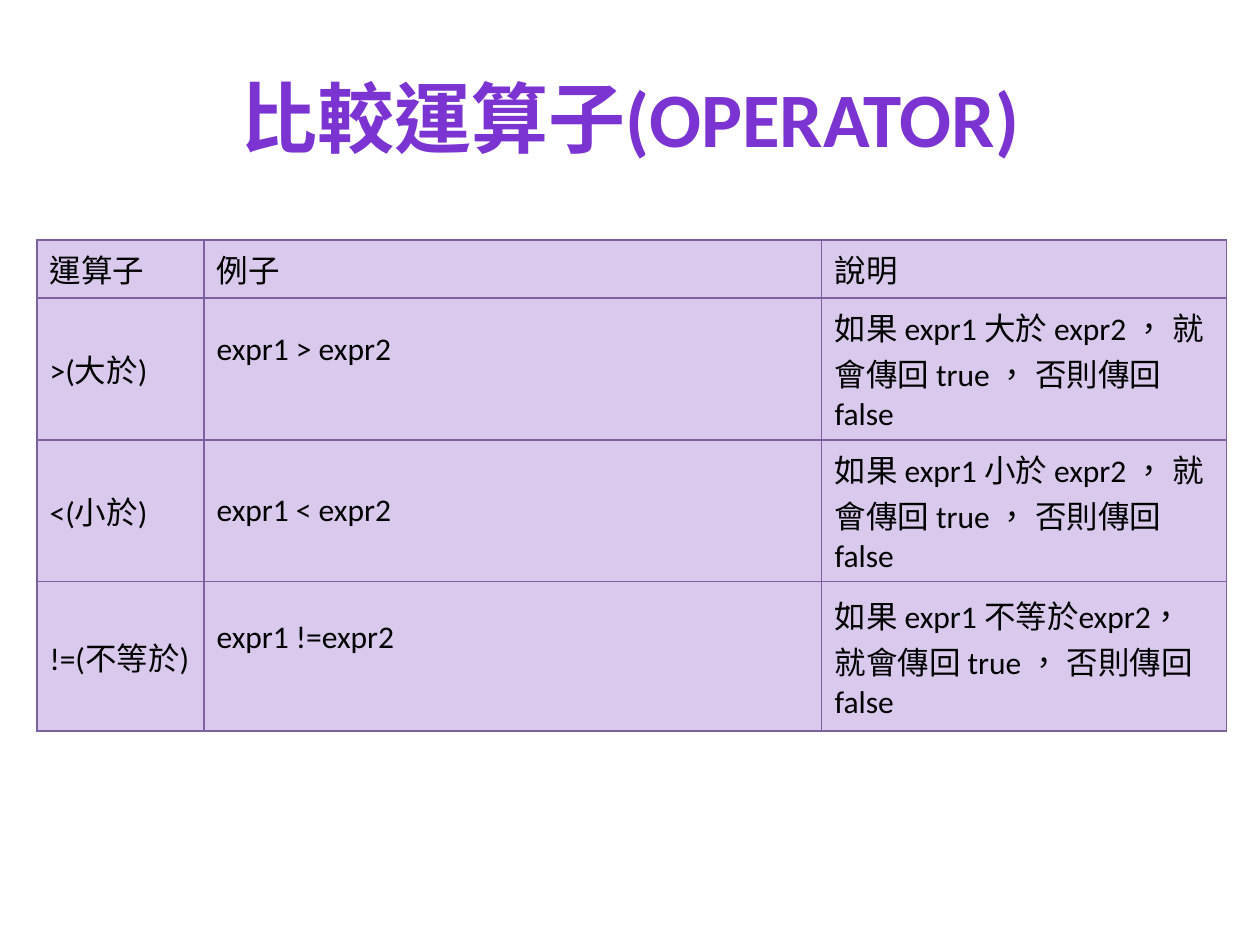
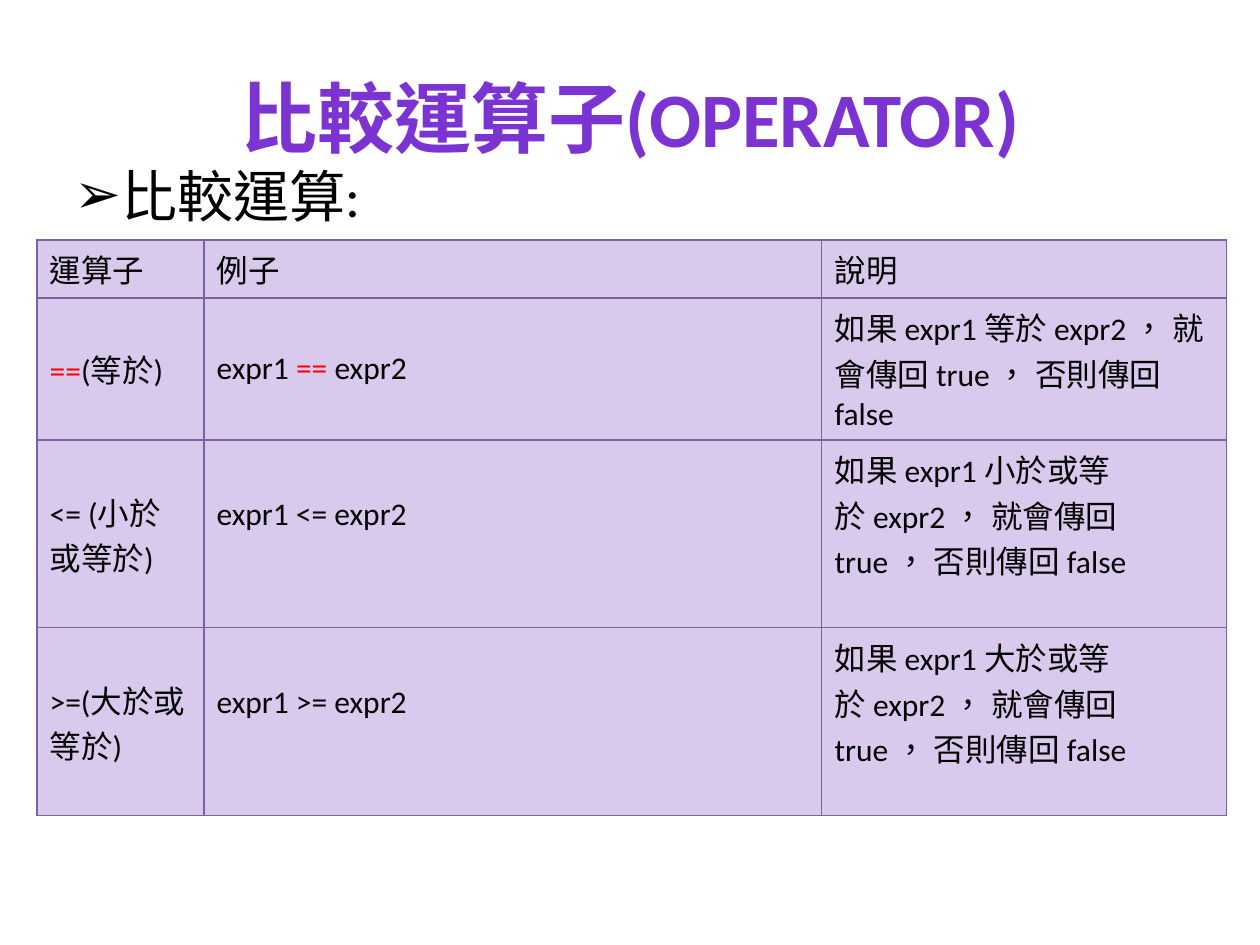
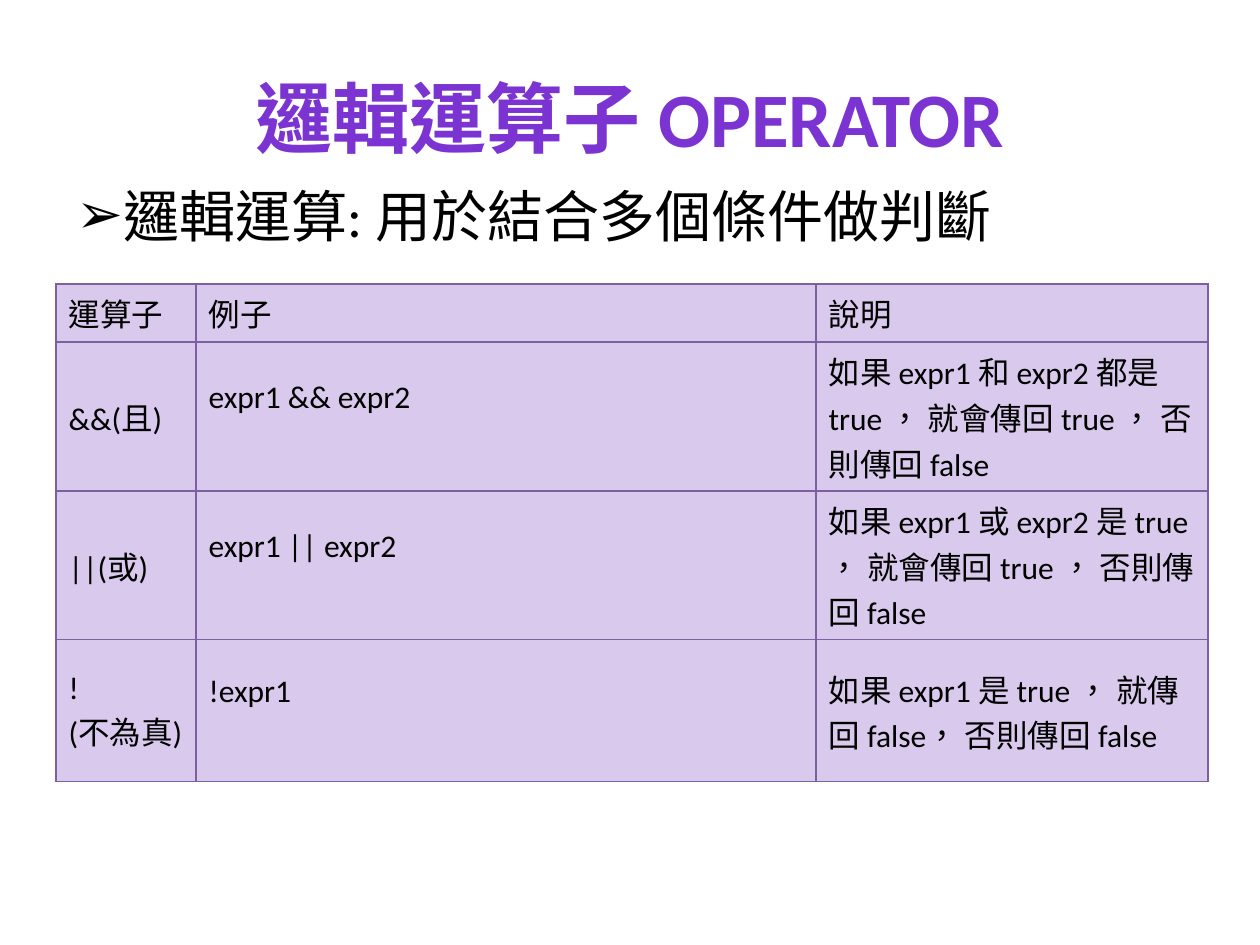
from dataclasses import dataclass

from lxml import etree
from pptx import Presentation
from pptx.dml.color import RGBColor
from pptx.enum.text import MSO_ANCHOR, PP_ALIGN
from pptx.oxml.ns import qn
from pptx.util import Emu, Pt

PX = 914400 // 126
MIDDLE, CENTER = MSO_ANCHOR.MIDDLE, PP_ALIGN.CENTER
TITLE_ONLY = 5
NBSP = "\u00a0"  # written as ~ in the content below


@dataclass(frozen=True)
class Theme:
    font: str = "Calibri"
    title_pt: int = 44
    body_pt: int = 32
    cell_pt: int = 18
    text: str = "000000"
    accent: str = "FF0000"
    cell: str = "D9CAED"
    border: str = "7D60A0"
    border_pt: float = 0.75
    title_outline: str = "5E457C"
    title_outline_pt: float = 0.71
    title_stops: tuple = ((0, "3D1B67"), (43, "7B34D2"),
                          (48, "7330C4"), (100, "3D1B67"))


THEME = Theme()
HEADER = ("運算子", "例子", "說明")
COMPARE_COLS = (167, 618, 405)
LOGIC_COLS = (140, 620, 392)
HEAD_ROW, LOW_ROW, MID_ROW, TALL_ROW = 58, 142, 149, 188
LINE = 38       # room below a raised single line
TALL_LINE = 46  # room below a raised Chinese text


def px(n):
    return Emu(n * PX)


def add_xml(parent, tag, **attrs):
    return etree.SubElement(parent, qn(tag), attrs)


def add_solid(parent, color):
    add_xml(add_xml(parent, "a:solidFill"), "a:srgbClr", val=color)


def add_run(p, text, size, color=None, bold=False):
    r = p.add_run()
    r.text = text.replace("~", NBSP)
    for name, value in {"name": THEME.font, "size": Pt(size), "bold": bold}.items():
        setattr(r.font, name, value)
    if color:
        r.font.color.rgb = RGBColor.from_string(color)
    r._r.get_or_add_rPr().set("lang", "zh-TW")
    return r


def style_title_run(r):
    """Outline and vertical gradient, placed ahead of the font element."""
    rPr = r._r.get_or_add_rPr()
    ln = add_xml(rPr, "a:ln", w=str(Pt(THEME.title_outline_pt)))
    add_solid(ln, THEME.title_outline)
    grad = add_xml(rPr, "a:gradFill")
    stops = add_xml(grad, "a:gsLst")
    for pos, color in THEME.title_stops:
        gs = add_xml(stops, "a:gs", pos=str(pos * 1000))
        add_xml(gs, "a:srgbClr", val=color)
    add_xml(grad, "a:lin", ang="5400000", scaled="0")
    rPr.insert(0, ln)
    rPr.insert(1, grad)


def add_titled_slide(prs, title):
    s = prs.slides.add_slide(prs.slide_layouts[TITLE_ONLY])
    sp = s.shapes.title
    sp.left, sp.top, sp.width, sp.height = map(px, (63, 38, 1134, 157))
    tf = sp.text_frame
    tf.vertical_anchor = MIDDLE
    p = tf.paragraphs[0]
    p.alignment = CENTER
    style_title_run(add_run(p, title, THEME.title_pt, bold=True))
    return s


def add_bullet(s, text, left, top):
    sp = s.shapes.add_textbox(px(left), px(top), px(1134), px(694))
    tf = sp.text_frame
    tf.word_wrap = True
    p = tf.paragraphs[0]
    p.space_before = Pt(THEME.body_pt * 0.2)
    pPr = p._p.get_or_add_pPr()
    pPr.set("marL", str(px(47)))
    pPr.set("indent", str(px(-47)))
    add_xml(pPr, "a:buFont", typeface=THEME.font)
    add_xml(pPr, "a:buChar", char="\u27a2")
    add_run(p, text, THEME.body_pt, THEME.text)


def add_borders(cell):
    tcPr = cell._tc.get_or_add_tcPr()
    for side in ("a:lnL", "a:lnR", "a:lnT", "a:lnB"):
        add_solid(add_xml(tcPr, side, w=str(Pt(THEME.border_pt))), THEME.border)


def fill_cell(cell, text, raise_by):
    cell.vertical_anchor = MIDDLE
    cell.margin_bottom = px(6 + raise_by)
    add_borders(cell)
    cell.fill.solid()
    cell.fill.fore_color.rgb = RGBColor.from_string(THEME.cell)
    tf = cell.text_frame
    for i, line in enumerate(text.split("\n")):
        p = tf.add_paragraph() if i else tf.paragraphs[0]
        # The equality sign stands out in the accent colour
        for part in line.partition("=="):
            if part:
                color = THEME.accent if part == "==" else THEME.text
                add_run(p, part, THEME.cell_pt, color)


def add_operator_table(s, left, top, cols, heights, rows, raised):
    """raised maps (row, column) to the extra room below the text."""
    data = (HEADER, *rows)
    heights = (HEAD_ROW, *heights)
    table = s.shapes.add_table(len(data), len(cols), px(left), px(top),
                               px(sum(cols)), px(sum(heights))).table
    table.first_row = table.horz_banding = False
    for col, width in zip(table.columns, cols):
        col.width = px(width)
    for row, height in zip(table.rows, heights):
        row.height = px(height)
    for i, texts in enumerate(data):
        for j, text in enumerate(texts):
            fill_cell(table.cell(i, j), text, raised.get((i, j), 0))


def rule(condition, result="就會傳回 true "):
    return f"如果~{condition}， {result}， 否則傳回 false"


def main():
    prs = Presentation()
    prs.slide_width, prs.slide_height = px(1260), px(945)

    # Greater, less, not equal
    s = add_titled_slide(prs, "比較運算子(OPERATOR)")
    add_operator_table(s, 37, 240, COMPARE_COLS, (LOW_ROW, LOW_ROW, MID_ROW), (
        (">(大於)", "expr1~>~expr2", rule("expr1~大於~expr2 ")),
        ("<(小於)", "expr1~<~expr2", rule("expr1~小於~expr2 ")),
        ("!=(不等於)", "expr1~!=expr2", rule("expr1~不等於expr2")),
    ), {(1, 1): LINE, (3, 1): LINE})

    # Equal, and the two inclusive comparisons
    s = add_titled_slide(prs, "比較運算子(OPERATOR)")
    add_bullet(s, "比較運算:", 62, 155)
    add_operator_table(s, 37, 240, COMPARE_COLS, (LOW_ROW, TALL_ROW, TALL_ROW), (
        ("==(等於)", "expr1~==~expr2", rule("expr1~等於~expr2 ")),
        ("<= (小於或等於)", "expr1~<=~expr2", rule("expr1~小於或等於~expr2 ")),
        (">=(大於或等於)", "expr1~>=~expr2", rule("expr1~大於或等於~expr2 ")),
    ), {(2, 1): LINE, (3, 1): LINE, (2, 2): TALL_LINE, (3, 2): TALL_LINE})

    # Logical operators
    s = add_titled_slide(prs, "邏輯運算子 OPERATOR")
    add_bullet(s, "邏輯運算: 用於結合多個條件做判斷", 64, 175)
    add_operator_table(s, 56, 284, LOGIC_COLS, (MID_ROW, MID_ROW, LOW_ROW), (
        ("&&(且)", "expr1~&&~expr2", rule("expr1~和~expr2~都是 true ")),
        ("||(或)", "expr1~||~expr2", rule("expr1~或~expr2~是 true ")),
        ("!\n(不為真)", "!expr1", rule("expr1~是 true ", "就傳回 false")),
    ), {(row, 1): LINE for row in (1, 2, 3)})

    prs.save("out.pptx")


main()
